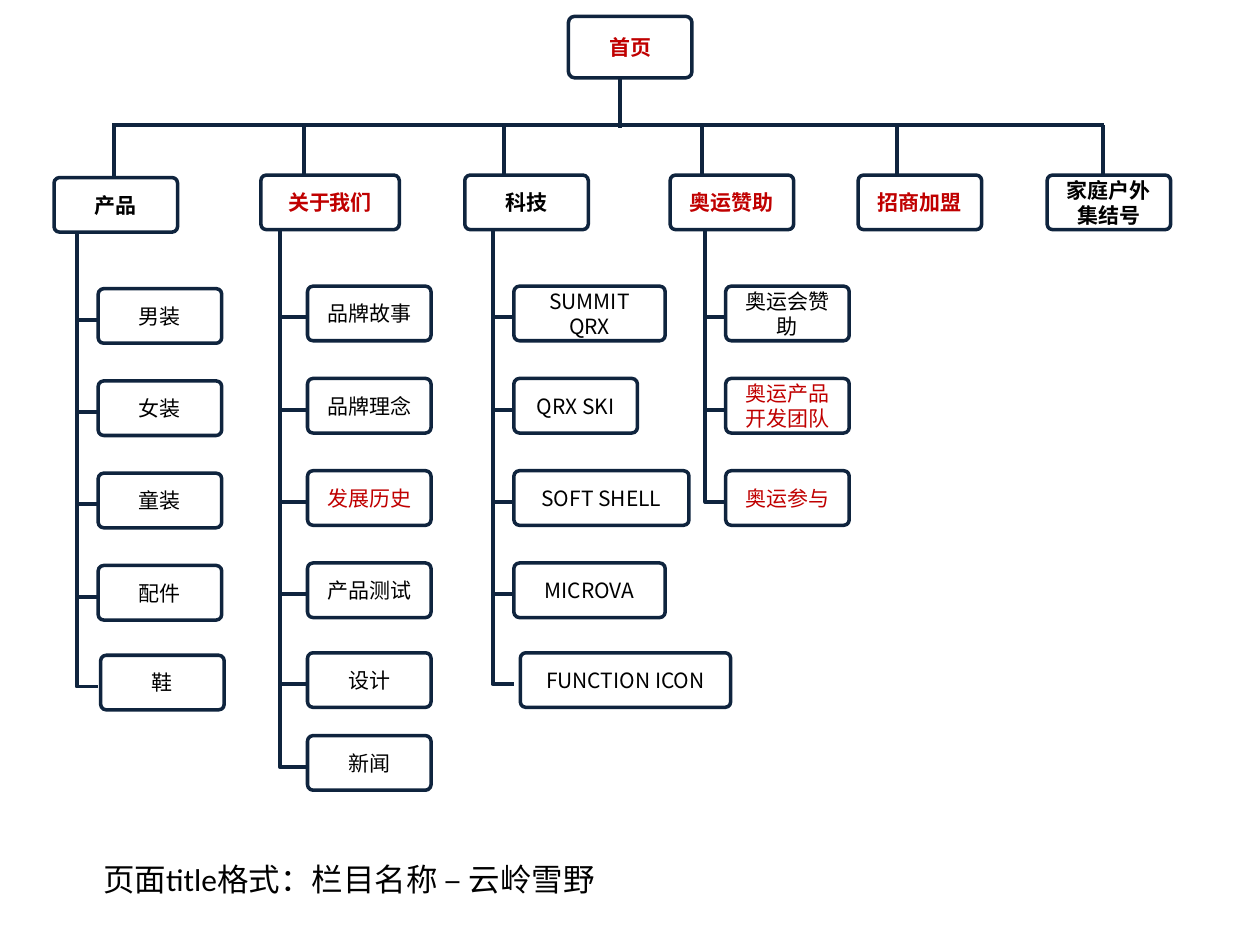
from lxml import etree
from pptx import Presentation
from pptx.dml.color import RGBColor
from pptx.enum.shapes import MSO_CONNECTOR, MSO_SHAPE
from pptx.enum.text import MSO_ANCHOR, PP_ALIGN
from pptx.oxml.ns import qn
from pptx.util import Cm, Pt

ROUNDED = MSO_SHAPE.ROUNDED_RECTANGLE
STRAIGHT, ELBOW = MSO_CONNECTOR.STRAIGHT, MSO_CONNECTOR.ELBOW
MIDDLE, CENTER = MSO_ANCHOR.MIDDLE, PP_ALIGN.CENTER

COLORS = {"navy": "0F243E", "red": "C00000", "black": "000000", "white": "FFFFFF"}
BOX_FONT, CAPTION_FONT = "Noto Sans CJK SC", "Calibri"

# Lengths in centimetres
BOX_W, BOX_H = 2.49, 1.1
HEADING_TOP, BAR_Y = 3.53, 2.53
ROW_TOPS = [5.77, 7.63, 9.49, 11.35, 13.16, 14.83]
BRANCH_DROP = 0.63  # from the top of a page box to its branch line

# Sections: heading (text, colour, left, width), drop line x, vertical shift,
# trunk x, left edge of the pages, pages (text, colour, width, shift to the right)
SECTIONS = [
    (("产品", "black", 1.09, BOX_W), 2.29, 0.05, 1.55, 1.98, [
        ("男装", "black", BOX_W, 0),
        ("女装", "black", BOX_W, 0),
        ("童装", "black", BOX_W, 0),
        ("配件", "black", BOX_W, 0),
        ("鞋", "black", BOX_W, 0.05)]),
    (("关于我们", "red", 5.26, 2.79), 6.12, 0, 5.64, 6.2, [
        ("品牌故事", "black", BOX_W, 0),
        ("品牌理念", "black", BOX_W, 0),
        ("发展历史", "red", BOX_W, 0),
        ("产品测试", "black", BOX_W, 0),
        ("设计", "black", BOX_W, 0),
        ("新闻", "black", BOX_W, 0)]),
    (("科技", "black", 9.37, BOX_W), 10.16, 0, 9.93, 10.36, [
        ("SUMMIT QRX", "black", 3.05, 0),
        ("QRX SKI", "black", BOX_W, 0),
        ("SOFT SHELL", "black", 3.53, 0),
        ("MICROVA", "black", 3.05, 0),
        ("FUNCTION ICON", "black", 4.24, 0.13)]),
    (("奥运赞助", "red", 13.51, BOX_W), 14.15, 0, 14.22, 14.63, [
        ("奥运会赞助", "black", BOX_W, 0),
        ("奥运产品开发团队", "red", BOX_W, 0),
        ("奥运参与", "red", BOX_W, 0)]),
    (("招商加盟", "red", 17.3, BOX_W), 18.08, 0, None, None, []),
    (("家庭户外集结号", "black", 21.11, BOX_W), 22.23, 0, None, None, []),
]


def color(name):
    return RGBColor.from_string(COLORS[name])


def add_run(paragraph, text, size, font_name, color_name, bold=False):
    run = paragraph.add_run()
    run.text = text
    run.font.size = Pt(size)
    run.font.name = font_name
    run.font.bold = bold
    run.font.color.rgb = color(color_name)
    return run


def add_box(slide, text, color_name, left, top, width, height=BOX_H, bold=False):
    box = slide.shapes.add_shape(ROUNDED, Cm(left), Cm(top), Cm(width), Cm(height))
    box.adjustments[0] = 0.1
    box.shadow.inherit = False
    box.fill.solid()
    box.fill.fore_color.rgb = color("white")
    box.line.color.rgb = color("navy")
    box.line.width = Pt(2)
    frame = box.text_frame
    frame.word_wrap = True
    frame.vertical_anchor = MIDDLE
    paragraph = frame.paragraphs[0]
    paragraph.alignment = CENTER
    run = add_run(paragraph, text, 12, BOX_FONT, color_name, bold)
    # East Asian typeface
    properties = run.font._element
    etree.SubElement(properties, qn("a:ea")).set("typeface", BOX_FONT)


def add_line(slide, x1, y1, x2, y2, kind=STRAIGHT):
    line = slide.shapes.add_connector(kind, Cm(x1), Cm(y1), Cm(x2), Cm(y2))
    line.line.color.rgb = color("navy")
    line.line.width = Pt(2.25)
    etree.SubElement(line._element.spPr, qn("a:effectLst"))
    return line


def add_branch(slide, x1, y1, x2, y2):
    """One-bend connector that goes down and then right."""
    center_x, center_y = (x1 + x2) / 2, (y1 + y2) / 2
    half_w, half_h = (y2 - y1) / 2, (x2 - x1) / 2
    branch = add_line(slide, center_x - half_w, center_y - half_h,
                      center_x + half_w, center_y + half_h, ELBOW)
    properties = branch._element.spPr
    properties.find(qn("a:prstGeom")).set("prst", "bentConnector2")
    frame = properties.find(qn("a:xfrm"))
    frame.set("rot", "16200000")
    frame.set("flipH", "1")


def add_section(slide, heading, drop_x, shift, trunk_x, pages_left, pages):
    text, color_name, left, width = heading
    heading_top = HEADING_TOP + shift
    add_line(slide, drop_x, BAR_Y, drop_x, heading_top)
    add_box(slide, text, color_name, left, heading_top, width, bold=True)
    branch_start = heading_top + BOX_H
    for row_top, (text, color_name, width, indent) in zip(ROW_TOPS, pages):
        top = row_top + shift
        branch_end = top + BRANCH_DROP
        add_branch(slide, trunk_x, branch_start, pages_left, branch_end)
        add_box(slide, text, color_name, pages_left + indent, top, width)
        branch_start = branch_end


def add_caption(slide, text):
    caption = slide.shapes.add_textbox(Cm(1.83), Cm(17.22), Cm(10.69), Cm(1.02))
    caption.text_frame.word_wrap = True
    add_run(caption.text_frame.paragraphs[0], text, 18, CAPTION_FONT, "black")


def main():
    prs = Presentation()
    prs.slide_width, prs.slide_height = Cm(25.4), Cm(19.05)
    slide = prs.slides.add_slide(prs.slide_layouts[6])

    # Home page and the bar over all sections
    add_line(slide, 12.5, 1.6, 12.5, 2.58)
    add_line(slide, 2.26, BAR_Y, 22.25, BAR_Y)
    add_box(slide, "首页", "red", 11.46, 0.33, BOX_W, 1.24, bold=True)

    # Sections with their pages
    for section in SECTIONS:
        add_section(slide, *section)

    # Title format note
    add_caption(slide, "页面title格式：栏目名称 – 云岭雪野")

    prs.save("out.pptx")


if __name__ == "__main__":
    main()
